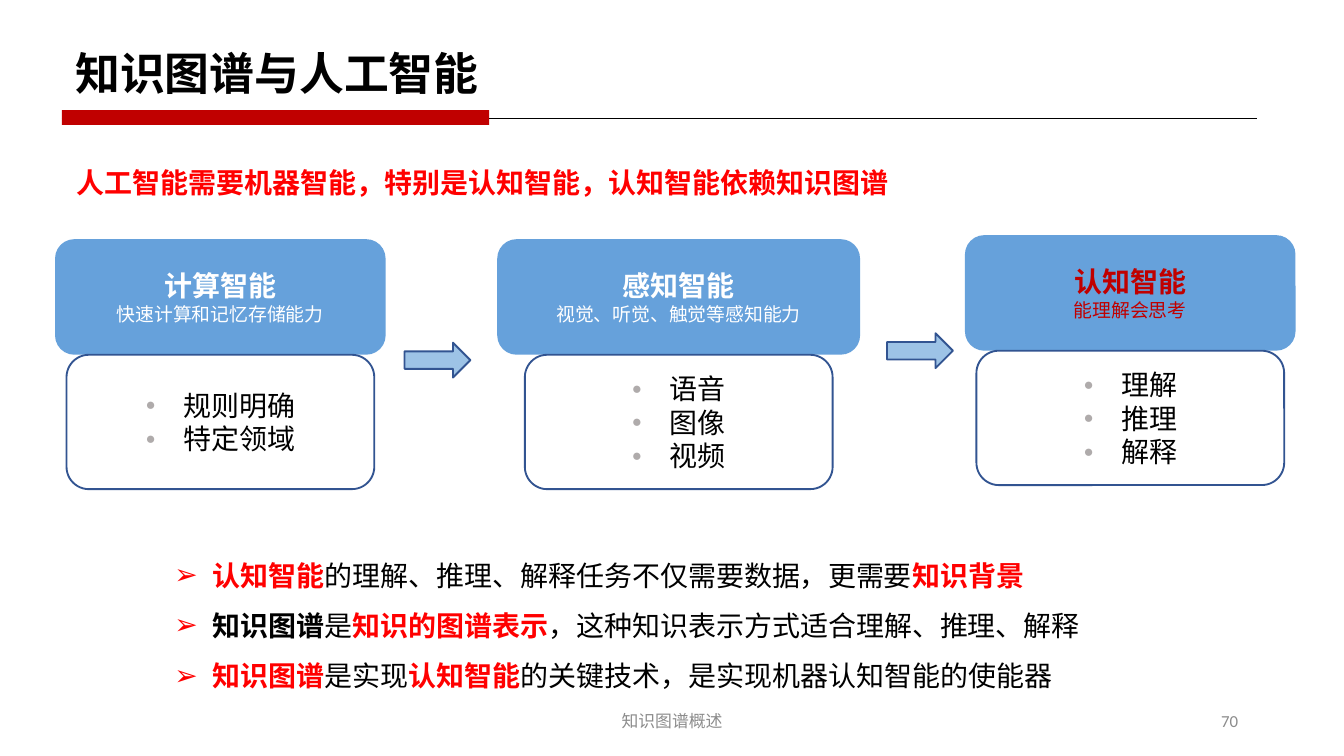
from lxml import etree
from pptx import Presentation
from pptx.dml.color import RGBColor
from pptx.enum.shapes import MSO_CONNECTOR, MSO_SHAPE as SHAPE
from pptx.enum.text import MSO_ANCHOR as ANCHOR, PP_ALIGN as ALIGN
from pptx.oxml.ns import qn
from pptx.util import Inches, Pt

BLACK = RGBColor(0x00, 0x00, 0x00)
WHITE = RGBColor(0xFF, 0xFF, 0xFF)
RED = RGBColor(0xFF, 0x00, 0x00)
DARK_RED = RGBColor(0xC0, 0x00, 0x00)
BLUE = RGBColor(0x66, 0xA1, 0xDB)
LIGHT_BLUE = RGBColor(0x9D, 0xC3, 0xE6)
NAVY = RGBColor(0x32, 0x54, 0x91)
GRAY = RGBColor(0x8C, 0x8C, 0x8C)
BULLET_GRAY = RGBColor(0xAF, 0xAB, 0xAB)
CJK = "Noto Sans CJK SC"

# Content
TITLE = "知识图谱与人工智能"
LEAD = "人工智能需要机器智能，特别是认知智能，认知智能依赖知识图谱"
FOOTER, PAGE = "知识图谱概述", "70"
# heading, ability, items, center x, top, header width, text color
STAGES = [
    ("计算智能", "快速计算和记忆存储能力", ["规则明确", "特定领域"],
     1.64, 1.78, 2.46, WHITE),
    ("感知智能", "视觉、听觉、触觉等感知能力", ["语音", "图像", "视频"],
     5.05, 1.78, 2.7, WHITE),
    ("认知智能", "能理解会思考", ["理解", "推理", "解释"],
     8.41, 1.75, 2.46, DARK_RED),
]
ARROWS = [(3.01, 2.55), (6.6, 2.48)]
# runs of (text, color, bold)
POINTS = [
    [("认知智能", RED, True),
     ("的理解、推理、解释任务不仅需要数据，更需要", BLACK, False),
     ("知识背景", RED, True)],
    [("知识图谱", BLACK, True), ("是", BLACK, False),
     ("知识的图谱表示", RED, True),
     ("，这种知识表示方式适合理解、推理、解释", BLACK, False)],
    [("知识图谱", RED, True), ("是实现", BLACK, False),
     ("认知智能", RED, True),
     ("的关键技术，是实现机器认知智能的使能器", BLACK, False)],
]


def add_run(p, text, size=15, color=BLACK, bold=False, font="Calibri"):
    r = p.add_run()
    r.text = text
    r.font.size, r.font.bold, r.font.name = Pt(size), bold, font
    r.font.color.rgb = color
    etree.SubElement(r.font._element, qn("a:ea")).set("typeface", CJK)


def add_bullet(p, char, color, percent=100):
    pPr = p._p.get_or_add_pPr()
    pPr.set("marL", str(Inches(0.28)))
    pPr.set("indent", str(-Inches(0.28)))
    clr = etree.SubElement(pPr, qn("a:buClr"))
    etree.SubElement(clr, qn("a:srgbClr")).set("val", str(color))
    etree.SubElement(pPr, qn("a:buSzPct")).set("val", str(percent * 1000))
    etree.SubElement(pPr, qn("a:buFont")).set("typeface", "Arial")
    etree.SubElement(pPr, qn("a:buChar")).set("char", char)


def paragraphs(tf, count, align=ALIGN.LEFT, anchor=ANCHOR.TOP, wrap=True):
    tf.word_wrap, tf.vertical_anchor = wrap, anchor
    ps = [tf.paragraphs[0]] + [tf.add_paragraph() for _ in range(count - 1)]
    for p in ps:
        p.alignment = align
    return ps


def add_text(s, text, box, align=ALIGN.LEFT, anchor=ANCHOR.TOP, **fmt):
    tf = s.shapes.add_textbox(*map(Inches, box)).text_frame
    add_run(paragraphs(tf, 1, align, anchor)[0], text, **fmt)


def add_box(s, kind, box, fill, line=None):
    sp = s.shapes.add_shape(kind, *map(Inches, box))
    sp.shadow.inherit = False
    sp.fill.solid()
    sp.fill.fore_color.rgb = fill
    if line is None:
        sp.line.fill.background()
    else:
        sp.line.color.rgb, sp.line.width = line, Pt(1)
    return sp


prs = Presentation()
prs.slide_width = Inches(10)
prs.slide_height = prs.slide_width * 9 // 16
s = prs.slides.add_slide(prs.slide_layouts[5])

# Title with rule and accent bar
title = s.shapes.title
title.left, title.top, title.width, title.height = map(
    Inches, (0.46, 0.29, 3.23, 0.5))
add_run(paragraphs(title.text_frame, 1, wrap=False)[0], TITLE,
        size=24, bold=True, font="Arial")
rule = s.shapes.add_connector(MSO_CONNECTOR.STRAIGHT, Inches(0.46),
                              Inches(0.88), Inches(9.35), Inches(0.88))
rule.line.color.rgb, rule.line.width = BLACK, Pt(0.5)
etree.SubElement(rule._element.spPr, qn("a:effectLst"))
add_box(s, SHAPE.RECTANGLE, (0.46, 0.82, 3.18, 0.11), DARK_RED)
add_text(s, LEAD, (0.47, 1.18, 9.42, 0.35), color=RED, bold=True, font="Arial")

# Stages: header above its list of items
HEAD_H, BODY_W, BODY_H = 0.86, 2.29, 1
for heading, ability, items, cx, top, width, color in STAGES:
    head = add_box(s, SHAPE.ROUNDED_RECTANGLE,
                   (cx - width / 2, top, width, HEAD_H), BLUE)
    p, sub = paragraphs(head.text_frame, 2, ALIGN.CENTER, ANCHOR.MIDDLE)
    add_run(p, heading, color=color, bold=True)
    add_run(sub, ability, size=10.1, color=color)
    body = add_box(s, SHAPE.ROUNDED_RECTANGLE,
                   (cx - BODY_W / 2, top + HEAD_H, BODY_W, BODY_H), WHITE, NAVY)
    ps = paragraphs(body.text_frame, len(items), ALIGN.CENTER, ANCHOR.MIDDLE)
    for p, item in zip(ps, items):
        add_bullet(p, "●", BULLET_GRAY, 60)
        add_run(p, item)
for x, y in ARROWS:
    add_box(s, SHAPE.RIGHT_ARROW, (x, y, 0.49, 0.26), LIGHT_BLUE, NAVY)

# Conclusions
tf = s.shapes.add_textbox(*map(Inches, (1.2, 3.98, 7.97, 1.2))).text_frame
for p, runs in zip(paragraphs(tf, len(POINTS)), POINTS):
    add_bullet(p, "➢", RED)
    p.line_spacing = 1.5
    for text, color, bold in runs:
        add_run(p, text, color=color, bold=bold, font=CJK)

# Footer and page number
add_text(s, FOOTER, (3.31, 5.21, 3.38, 0.3), ALIGN.CENTER, ANCHOR.MIDDLE,
         size=9, color=GRAY)
add_text(s, PAGE, (7.06, 5.21, 2.25, 0.3), ALIGN.RIGHT, ANCHOR.MIDDLE,
         size=9, color=GRAY)

prs.save("out.pptx")
